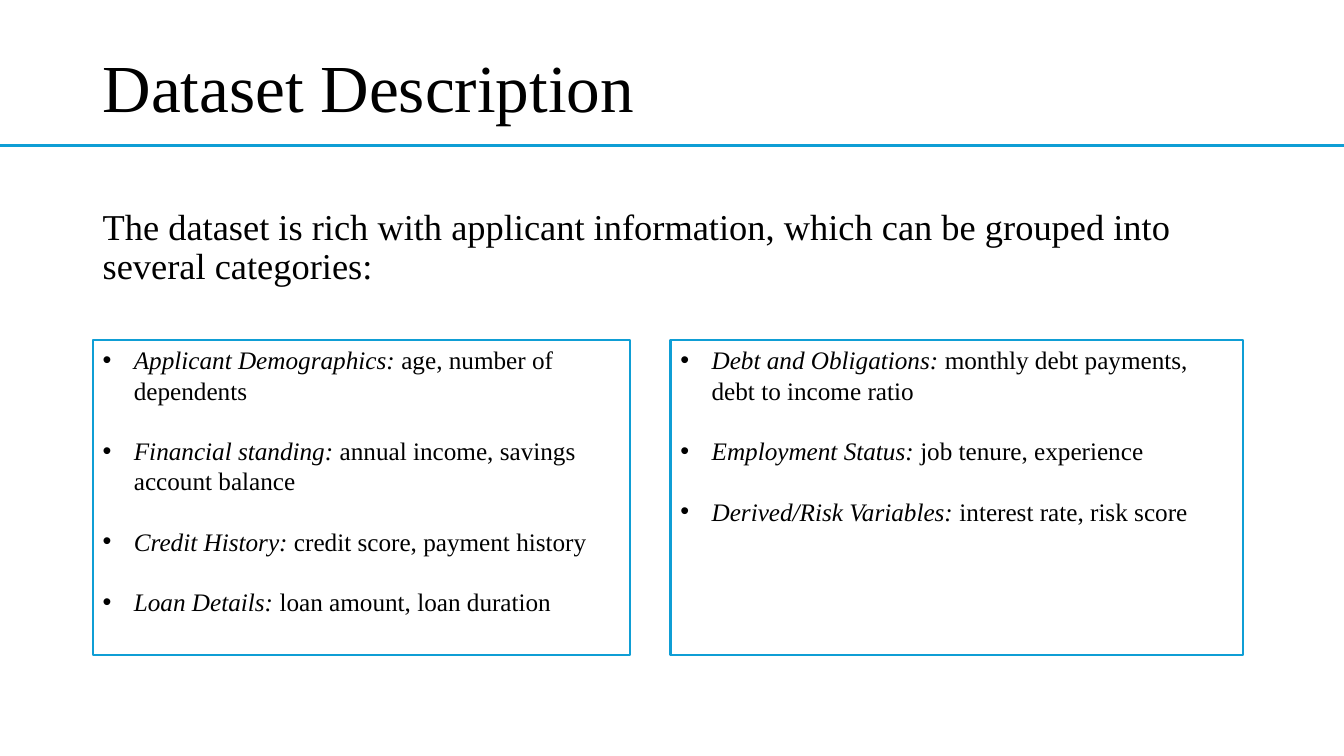
from dataclasses import dataclass

from lxml import etree
from pptx import Presentation
from pptx.dml.color import RGBColor
from pptx.enum.shapes import MSO_CONNECTOR, MSO_SHAPE
from pptx.enum.text import MSO_ANCHOR, PP_ALIGN
from pptx.oxml.ns import qn
from pptx.shapes.autoshape import Shape
from pptx.slide import Slide
from pptx.text.text import TextFrame
from pptx.util import Inches, Pt

BLACK = RGBColor(0x00, 0x00, 0x00)
BLUE = RGBColor(0x0F, 0x9E, 0xD5)
FONT = "Times New Roman"
LEFT = PP_ALIGN.LEFT
TOP = MSO_ANCHOR.TOP
BOTTOM = MSO_ANCHOR.BOTTOM
RECTANGLE = MSO_SHAPE.RECTANGLE
STRAIGHT = MSO_CONNECTOR.STRAIGHT

MARGIN = 0.92
CONTENT_WIDTH = 11.5
CARD_TOP = 3.37
CARD_HEIGHT = 3.13
BULLET_INDENT = Inches(0.31)


@dataclass(frozen=True)
class Category:
    label: str
    variables: str


@dataclass(frozen=True)
class Card:
    left: float
    width: float
    categories: tuple[Category, ...]


CARDS = (
    Card(MARGIN, 5.33, (
        Category("Applicant Demographics: ", "age, number of dependents"),
        Category("Financial standing: ", "annual income, savings account balance"),
        Category("Credit History: ", "credit score, payment history"),
        Category("Loan Details: ", "loan amount, loan duration"),
    )),
    Card(6.65, 5.68, (
        Category("Debt and Obligations: ", "monthly debt payments, debt to income ratio"),
        Category("Employment Status: ", "job tenure, experience"),
        Category("Derived/Risk Variables: ", "interest rate, risk score"),
    )),
)


def write(frame: TextFrame, text: str, *, size: float, lead: str = "",
          line_spacing: float = 1.0, before: float = 0, after: float = 0,
          bullet: bool = False, first: bool = True) -> None:
    paragraph = frame.paragraphs[0] if first else frame.add_paragraph()
    paragraph.alignment = LEFT
    paragraph.line_spacing = line_spacing
    paragraph.space_before = Pt(before)
    paragraph.space_after = Pt(after)
    if bullet:
        properties = paragraph._p.get_or_add_pPr()
        properties.set("marL", str(BULLET_INDENT))
        properties.set("indent", str(-BULLET_INDENT))
        etree.SubElement(properties, qn("a:buFont")).set("typeface", "Arial")
        etree.SubElement(properties, qn("a:buChar")).set("char", "•")
    for content, italic in ((lead, True), (text, False)):
        if content:
            run = paragraph.add_run()
            run.text = content
            run.font.name = FONT
            run.font.size = Pt(size)
            run.font.italic = italic
            run.font.color.rgb = BLACK


def add_text_area(slide: Slide, top: float, height: float,
                  anchor: MSO_ANCHOR) -> TextFrame:
    area = slide.shapes.add_textbox(
        Inches(MARGIN), Inches(top), Inches(CONTENT_WIDTH), Inches(height))
    area.text_frame.word_wrap = True
    area.text_frame.vertical_anchor = anchor
    return area.text_frame


def add_divider(slide: Slide) -> None:
    divider = slide.shapes.add_connector(
        STRAIGHT, Inches(0), Inches(1.44), Inches(13.33), Inches(1.44))
    divider.line.color.rgb = BLUE
    divider.line.width = Pt(2)
    etree.SubElement(divider._element.spPr, qn("a:effectLst"))


def add_card(slide: Slide, card: Card) -> Shape:
    box = slide.shapes.add_shape(
        RECTANGLE, Inches(card.left), Inches(CARD_TOP),
        Inches(card.width), Inches(CARD_HEIGHT))
    box.shadow.inherit = False
    box.fill.background()
    box.line.color.rgb = BLUE
    box.line.width = Pt(1.5)
    box.text_frame.word_wrap = True
    box.text_frame.vertical_anchor = TOP
    for index, category in enumerate(card.categories):
        write(box.text_frame, category.variables, lead=category.label, size=18,
              after=21.6, bullet=True, first=index == 0)
    return box


def main() -> None:
    presentation = Presentation()
    presentation.slide_width = Inches(13.33)
    presentation.slide_height = Inches(7.5)
    slide = presentation.slides.add_slide(presentation.slide_layouts[6])

    introduction = add_text_area(slide, 2.02, 4.78, TOP)
    write(introduction,
          "The dataset is rich with applicant information, "
          "which can be grouped into several categories:",
          size=26, line_spacing=0.9, before=10)
    title = add_text_area(slide, -0.14, 1.45, BOTTOM)
    write(title, "Dataset Description", size=48, line_spacing=0.9)
    add_divider(slide)
    for card in CARDS:
        add_card(slide, card)

    presentation.save("out.pptx")


if __name__ == "__main__":
    main()
